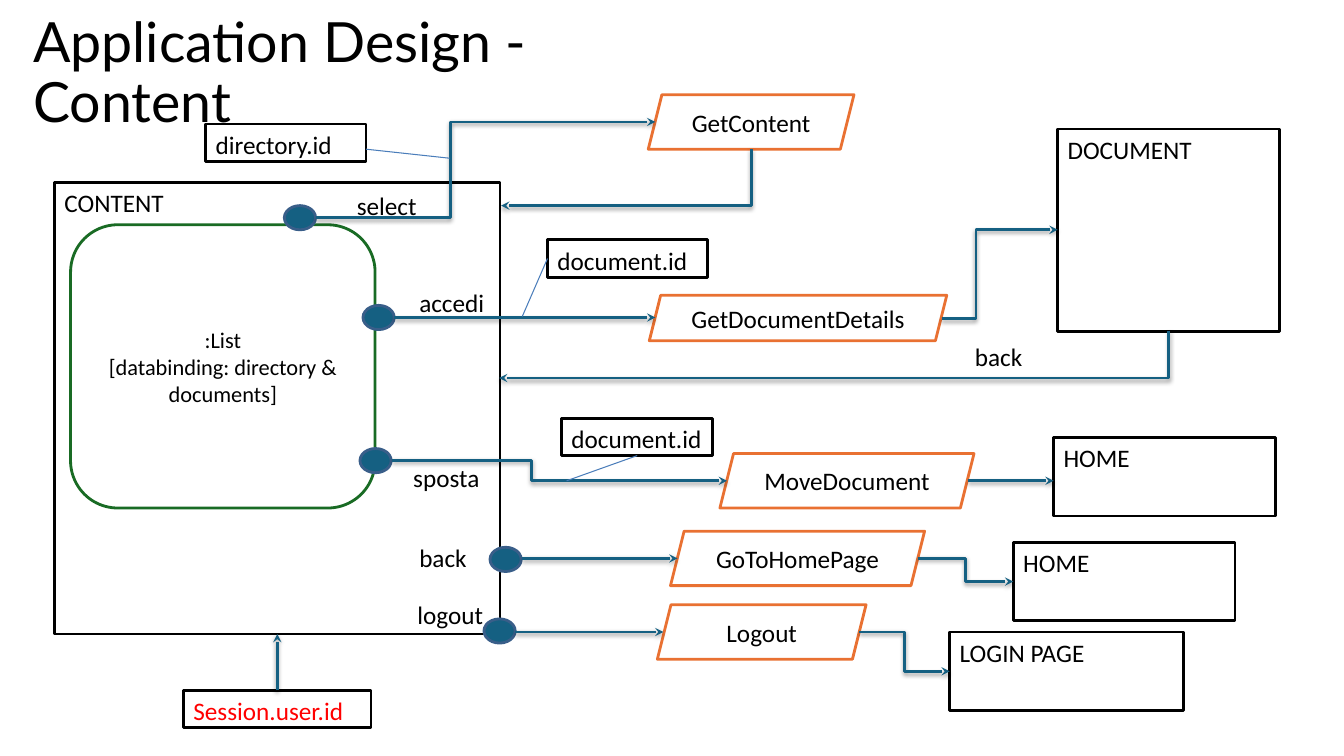
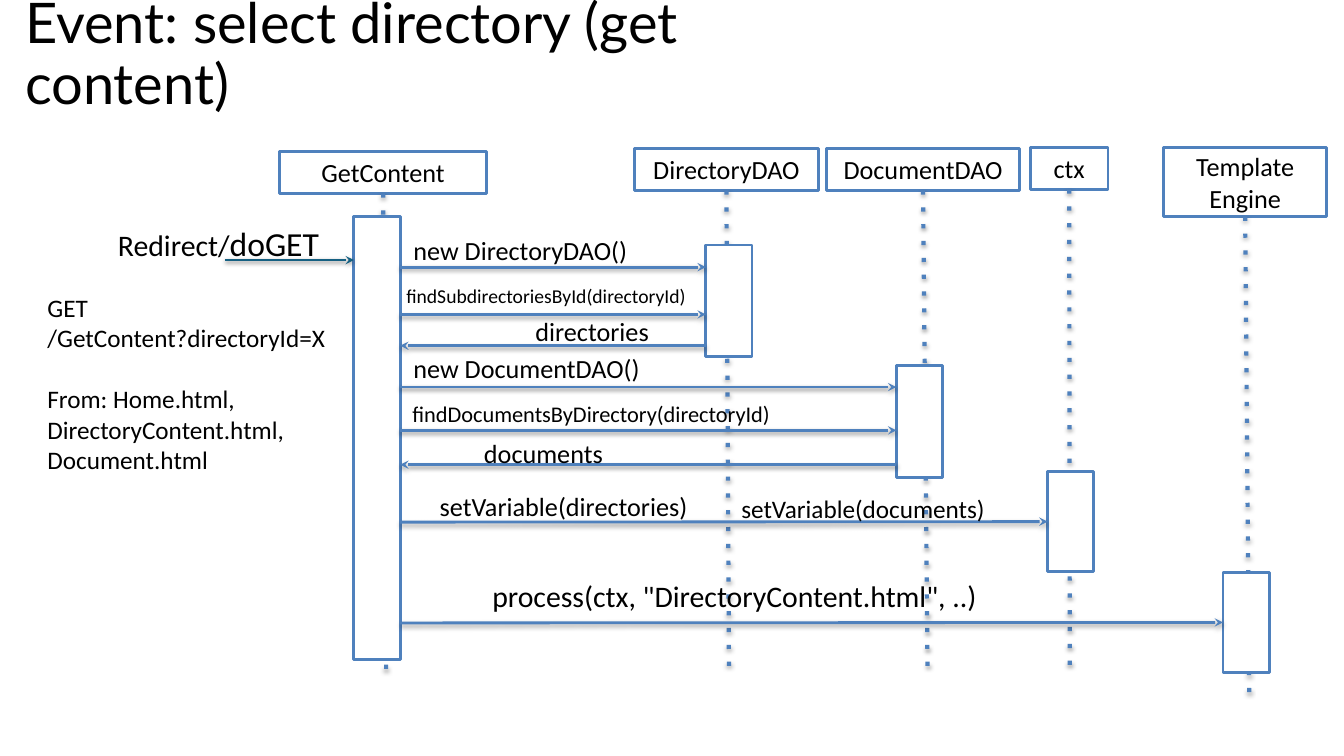
from pptx import Presentation
from pptx.dml.color import RGBColor
from pptx.enum.shapes import MSO_CONNECTOR as Connector, MSO_SHAPE as Shape
from pptx.enum.text import MSO_ANCHOR as Anchor, PP_ALIGN as Align
from pptx.oxml import parse_xml
from pptx.oxml.ns import nsdecls, qn
from pptx.util import Inches, Pt
from lxml.etree import SubElement

COLORS = {
    "ink": "000000", "paper": "FFFFFF", "flow": "156082", "event_edge": "395E89",
    "list": "196B24", "action": "E97132", "session": "FF0000", "leader": "4A7DBA",
    "sequence": "4F81BD",
}
TITLE_FONT, BODY_FONT = "Lato", "Calibri"
PAGE_INSETS = (0.1, 0.05)
SEQUENCE_INSETS = (0.13, 0.07)
EVENT_SIZE = (0.31, 0.24)
BAR_WIDTH = 0.46


def color(name):
    return RGBColor.from_string(COLORS[name])


def inches(values):
    return [Inches(value) for value in values]


def style_runs(paragraph, size, ink="ink", font=BODY_FONT):
    for run in paragraph.runs:
        run.font.size = Pt(size)
        run.font.name = font
        run.font.color.rgb = color(ink)


def write(frame, text, size, ink="ink", align=Align.LEFT, anchor=Anchor.TOP,
          insets=PAGE_INSETS):
    frame.word_wrap = True
    frame.vertical_anchor = anchor
    frame.margin_left = frame.margin_right = Inches(insets[0])
    frame.margin_top = frame.margin_bottom = Inches(insets[1])
    frame.text = text
    for paragraph in frame.paragraphs:
        paragraph.alignment = align
        style_runs(paragraph, size, ink)


def add_titled_slide(deck, title, at, size):
    slide = deck.slides.add_slide(deck.slide_layouts[5])
    heading = slide.shapes.title
    heading.left, heading.top, heading.width, heading.height = inches(at)
    heading.text_frame.text = title
    heading.text_frame.word_wrap = True
    heading.text_frame.vertical_anchor = Anchor.MIDDLE
    paragraph = heading.text_frame.paragraphs[0]
    paragraph.alignment = Align.LEFT
    paragraph.line_spacing = 0.9
    style_runs(paragraph, size, font=TITLE_FONT)
    return slide


def add_box(slide, at, edge, outline=Shape.RECTANGLE, fill="paper"):
    box = slide.shapes.add_shape(outline, *inches(at))
    box.shadow.inherit = False
    box.fill.solid()
    box.fill.fore_color.rgb = color(fill)
    box.line.color.rgb = color(edge)
    box.line.width = Pt(2)
    return box


def add_page(slide, at, name, ink="ink"):
    page = add_box(slide, at, "ink")
    write(page.text_frame, name, 18, ink)
    return page


def add_action(slide, at, name):
    action = add_box(slide, at, "action", Shape.PARALLELOGRAM)
    write(action.text_frame, name, 18, align=Align.CENTER, anchor=Anchor.MIDDLE)


def add_label(slide, at, text, size=18, align=Align.LEFT, insets=PAGE_INSETS):
    label = slide.shapes.add_textbox(*inches(at))
    write(label.text_frame, text, size, align=align, insets=insets)
    return label.text_frame


def add_line(slide, start, end, ink="flow", width=2, kind=Connector.STRAIGHT,
             arrow=True, dotted=False, shadow=True):
    line = slide.shapes.add_connector(kind, *inches(start + end))
    line.line.color.rgb = color(ink)
    line.line.width = Pt(width)
    properties = line._element.spPr
    stroke = properties.find(qn("a:ln"))
    if dotted:
        SubElement(stroke, qn("a:prstDash"), val="dot")
    if arrow:
        SubElement(stroke, qn("a:tailEnd"), type="stealth")
    effects = SubElement(properties, qn("a:effectLst"))
    if shadow:
        effects.append(parse_xml(
            f'<a:outerShdw {nsdecls("a")} blurRad="40000" dist="20000" dir="5400000" '
            'rotWithShape="0"><a:srgbClr val="000000"><a:alpha val="38000"/>'
            "</a:srgbClr></a:outerShdw>"))
    return line


def add_leader(slide, start, end):
    return add_line(slide, start, end, "leader", 0.75, arrow=False, shadow=False)


def add_step(slide, start, end, bend_x):
    """Arrow that runs across, turns at bend_x, and runs across again."""
    line = add_line(slide, start, end, kind=Connector.ELBOW)
    ratio = (bend_x - start[0]) / (end[0] - start[0])
    guides = line._element.spPr.find(qn("a:prstGeom")).get_or_add_avLst()
    SubElement(guides, qn("a:gd"), name="adj1", fmla=f"val {round(ratio * 100000)}")


def add_return(slide, start, end):
    """Arrow that runs down and then left, as a one-corner connector turned by 90 degrees."""
    drop, run = end[1] - start[1], start[0] - end[0]
    left = (start[0] + end[0] - drop) / 2
    top = (start[1] + end[1] - run) / 2
    line = add_line(slide, (left, top), (left + drop, top + run), kind=Connector.ELBOW)
    properties = line._element.spPr
    properties.find(qn("a:prstGeom")).set("prst", "bentConnector2")
    properties.find(qn("a:xfrm")).set("rot", "5400000")


def build_content_design(deck):
    slide = add_titled_slide(deck, "Application Design - Content",
                             (0.23, 0.37, 6.9, 0.74), 39.6)
    content = add_page(slide, (0.54, 1.81, 4.42, 4.48), "CONTENT")
    listing = add_box(slide, (0.7, 2.23, 3.02, 2.81), "list", Shape.ROUNDED_RECTANGLE)
    write(listing.text_frame, ":List\n[databinding: directory & documents]", 16,
          align=Align.CENTER, anchor=Anchor.MIDDLE)

    for at, name in [
        ((10.49, 1.28, 2.2, 2.01), "DOCUMENT"),
        ((10.45, 4.34, 2.2, 0.78), "HOME"),
        ((10.05, 5.38, 2.2, 0.78), "HOME"),
        ((9.42, 6.27, 2.32, 0.78), "LOGIN PAGE"),
        ((2.04, 1.23, 1.59, 0.37), "directory.id"),
    ]:
        add_page(slide, at, name)
    accessed_id = add_page(slide, (5.43, 2.38, 1.59, 0.37), "document.id")
    moved_id = add_page(slide, (5.57, 4.15, 1.5, 0.37), "document.id")
    session = add_page(slide, (1.82, 6.85, 1.86, 0.37), "Session.user.id", "session")

    for at, name in [
        ((6.43, 0.94, 2.04, 0.54), "GetContent"),
        ((6.44, 2.93, 2.95, 0.45), "GetDocumentDetails"),
        ((7.14, 4.5, 2.52, 0.54), "MoveDocument"),
        ((6.65, 5.27, 2.52, 0.54), "GoToHomePage"),
        ((6.52, 6, 2.07, 0.54), "Logout"),
    ]:
        add_action(slide, at, name)

    for corner in [(2.82, 2.04), (3.6, 3.03), (3.57, 4.45), (4.86, 5.43), (4.8, 6.14)]:
        add_box(slide, corner + EVENT_SIZE, "event_edge", Shape.OVAL, "flow")

    for start, end, bend_x in [
        ((3.13, 2.16), (6.5, 1.21), 4.47),
        ((9.34, 3.16), (10.49, 2.28), 9.68),
        ((3.89, 4.57), (7.21, 4.77), 5.27),
        ((9.1, 5.54), (10.05, 5.77), 9.58),
        ((8.52, 6.27), (9.42, 6.66), 8.97),
    ]:
        add_step(slide, start, end, bend_x)
    for left, right, y in [(3.91, 6.5, 3.15), (9.6, 10.45, 4.77),
                           (5.18, 6.72, 5.54), (5.11, 6.58, 6.27)]:
        add_line(slide, (left, y), (right, y))
    add_return(slide, (7.45, 1.48), (4.97, 2.04))
    add_return(slide, (11.59, 3.28), (4.95, 3.75))

    request = add_line(slide, (2.75, 6.85), (2.75, 6.29))
    request.begin_connect(session, 0)
    request.end_connect(content, 2)
    add_leader(slide, (3.63, 1.48), (4.46, 1.57))
    add_leader(slide, (5.18, 3.14), (5.43, 2.57)).end_connect(accessed_id, 1)
    add_leader(slide, (6.32, 4.52), (5.62, 4.77)).begin_connect(moved_id, 2)

    for left, top, name in [
        (3.44, 1.84, "select"), (4.06, 2.8, "accedi"), (4, 4.54, "sposta"),
        (9.57, 3.34, "back"), (4.06, 5.33, "back"), (4.04, 5.9, "logout"),
    ]:
        add_label(slide, (left, top, 0.91, 0.3), name)


def add_participant(slide, name, header_at, foot, bar_at):
    """Header, dotted lifeline down to foot, and activation bar (left, top, height)."""
    header = add_box(slide, header_at, "sequence")
    write(header.text_frame, name, 18.7, align=Align.CENTER, anchor=Anchor.MIDDLE,
          insets=SEQUENCE_INSETS)
    left, top, width, height = header_at
    lifeline = add_line(slide, (left + width / 2, top + height), foot, "sequence", 3,
                        arrow=False, dotted=True)
    lifeline.begin_connect(header, 2)
    bar_left, bar_top, bar_height = bar_at
    return add_box(slide, (bar_left, bar_top, BAR_WIDTH, bar_height), "sequence")


def build_select_event(deck):
    slide = add_titled_slide(deck, "Event: select directory (get content)",
                             (0.15, 0.2, 8.42, 0.71), 40)
    bars = {
        name: add_participant(slide, name, header_at, foot, bar_at)
        for name, header_at, foot, bar_at in [
            ("GetContent", (2.77, 1.5, 2.06, 0.42), (3.83, 6.66), (3.51, 2.15, 4.39)),
            ("DirectoryDAO", (6.29, 1.47, 1.83, 0.42), (7.23, 6.64), (7, 2.43, 1.11)),
            ("DocumentDAO", (8.2, 1.47, 1.91, 0.42), (9.2, 6.69), (8.89, 3.63, 1.11)),
            ("ctx", (10.22, 1.46, 0.77, 0.42), (10.61, 6.67), (10.39, 4.68, 0.99)),
            ("Template\nEngine", (11.54, 1.46, 1.62, 0.69), (12.39, 6.9),
             (12.13, 5.68, 0.99)),
        ]
    }

    caller, directory, document = 3.97, 7, 8.89
    for sender, receiver, y in [
        (caller, directory, 2.65), (caller, directory, 3.12), (directory, caller, 3.43),
        (caller, document, 3.84), (caller, document, 4.27), (document, caller, 4.61),
    ]:
        add_line(slide, (sender, y), (receiver, y), "sequence")
    for receiver, left, y in [("ctx", 10.39, 5.18), ("Template\nEngine", 12.13, 6.18)]:
        call = add_line(slide, (caller, y), (left, y), "sequence")
        call.end_connect(bars[receiver], 1)
    add_line(slide, (2.23, 2.58), (3.51, 2.58))

    for at, text, size, align in [
        ((3.97, 2.25, 3.99, 0.34), "new DirectoryDAO()", 18.7, Align.LEFT),
        ((3.9, 2.75, 3.1, 0.34), "findSubdirectoriesById(directoryId)", 14, Align.LEFT),
        ((5.18, 3.06, 1.51, 0.41), "directories", 18.7, Align.LEFT),
        ((3.97, 3.43, 3.99, 0.34), "new DocumentDAO()", 18.7, Align.LEFT),
        ((3.96, 3.9, 3.99, 0.34), "findDocumentsByDirectory(directoryId)", 16, Align.LEFT),
        ((4.67, 4.27, 1.51, 0.41), "documents", 18.7, Align.LEFT),
        ((4.14, 4.79, 2.9, 0.35), "setVariable(directories)", 18.7, Align.CENTER),
        ((7.19, 4.82, 2.74, 0.4), "setVariable(documents)", 18, Align.CENTER),
        ((4.7, 5.66, 5.17, 0.48), 'process(ctx, "DirectoryContent.html", ..)', 21.3,
         Align.CENTER),
    ]:
        add_label(slide, at, text, size, align, SEQUENCE_INSETS)

    redirect = add_label(slide, (1.04, 2.14, 2.35, 0.4), "Redirect/", 21.3,
                         insets=SEQUENCE_INSETS).paragraphs[0]
    redirect.add_run().text = "doGET"
    style_runs(redirect, 21.3)
    redirect.runs[1].font.size = Pt(24)

    request = add_label(
        slide, (0.34, 2.83, 3.08, 1.88),
        "GET\n/GetContent?directoryId=X\nFrom: Home.html,\nDirectoryContent.html,\n"
        "Document.html", insets=SEQUENCE_INSETS)
    request.paragraphs[2].space_before = Pt(22)


def main():
    deck = Presentation()
    deck.slide_width, deck.slide_height = Inches(13.33), Inches(7.5)
    build_content_design(deck)
    build_select_event(deck)
    deck.save("out.pptx")


if __name__ == "__main__":
    main()
